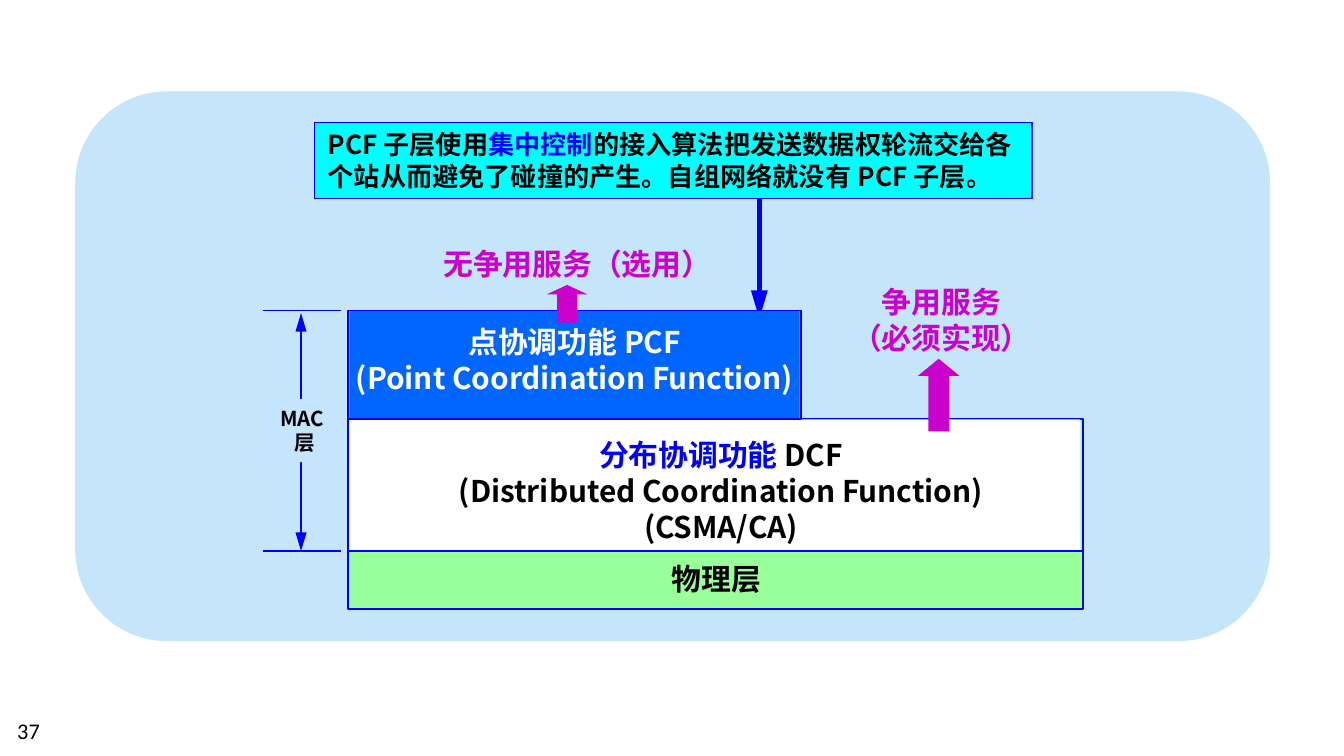
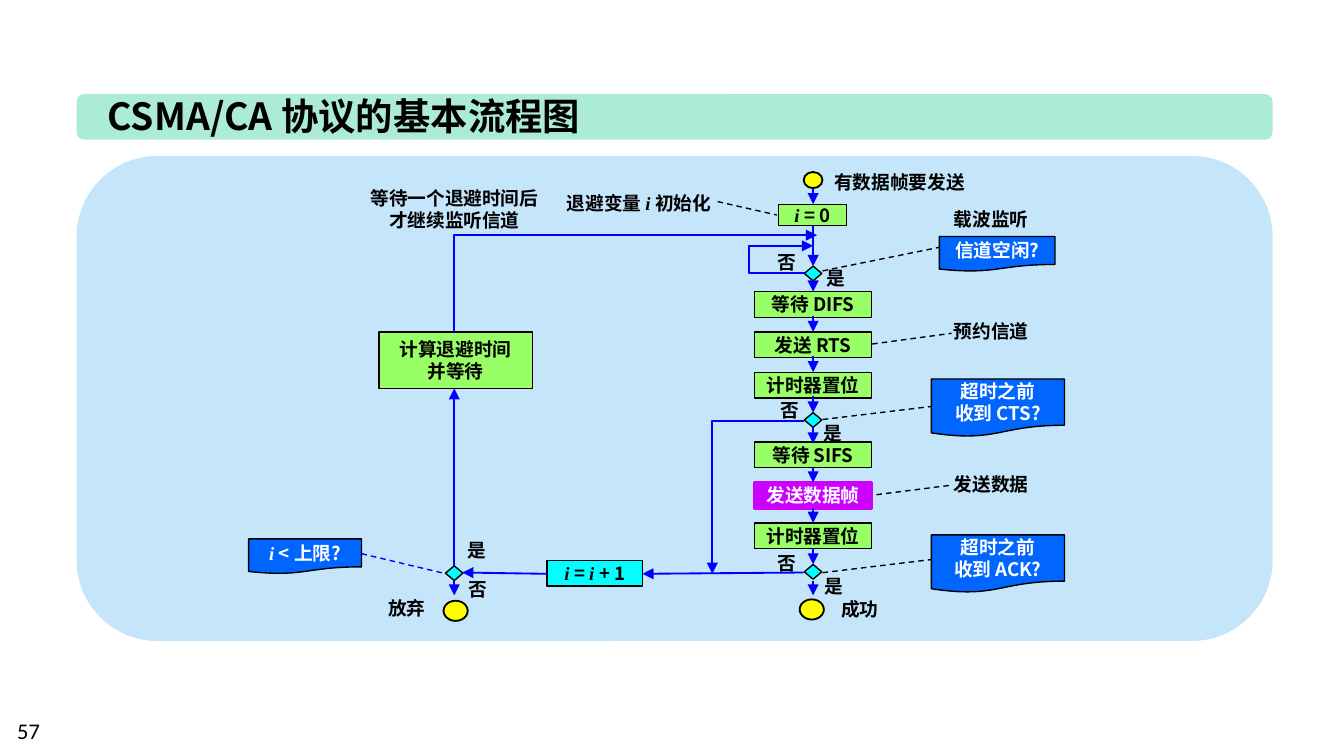
from lxml import etree
from pptx import Presentation
from pptx.dml.color import RGBColor
from pptx.enum.dml import MSO_LINE
from pptx.enum.shapes import MSO_CONNECTOR, MSO_SHAPE
from pptx.enum.text import MSO_ANCHOR, MSO_AUTO_SIZE, PP_ALIGN
from pptx.oxml.ns import qn
from pptx.util import Inches, Pt

RECT, ROUND, OVAL = MSO_SHAPE.RECTANGLE, MSO_SHAPE.ROUNDED_RECTANGLE, MSO_SHAPE.OVAL
UP_ARROW = MSO_SHAPE.UP_ARROW
PROCESS, DECISION = MSO_SHAPE.FLOWCHART_PROCESS, MSO_SHAPE.FLOWCHART_DECISION
DOCUMENT = MSO_SHAPE.FLOWCHART_DOCUMENT
STRAIGHT, ELBOW = MSO_CONNECTOR.STRAIGHT, MSO_CONNECTOR.ELBOW
LEFT, CENTER = PP_ALIGN.LEFT, PP_ALIGN.CENTER
TOP, MIDDLE = MSO_ANCHOR.TOP, MSO_ANCHOR.MIDDLE
GROW = MSO_AUTO_SIZE.SHAPE_TO_FIT_TEXT
DASH = MSO_LINE.DASH

BLACK, WHITE, BLUE, AZURE = "000000", "FFFFFF", "0000FF", "0066FF"
CYAN, LIME, GREEN, YELLOW = "00FFFF", "99FF66", "99FF99", "FFFF00"
MAGENTA, VIOLET, PANEL, BAND = "CC00CC", "CC00FF", "C5E5FB", "ABEBD7"
CJK = {"name": "Noto Sans CJK SC", "bold": True, "italic": False}
VARIABLE = ("i ", {"name": "Times New Roman", "italic": True})

LAYERS_PAGE, FLOW_PAGE = "37", "57"
LAYERS_PANEL, FLOW_PANEL = (0.56, 0.68, 8.89, 4.09), (0.57, 1.16, 8.9, 3.61)
FLOW_TITLE = "CSMA/CA 协议的基本流程图"

PCF_NOTE = [["PCF 子层使用", ("集中控制", {"color": BLUE}),
             "的接入算法把发送数据权轮流交给各个站从而避免了碰撞的产生。自组网络就没有 PCF 子层。"]]
LAYER_BLOCKS = [
    ((2.59, 3.12, 5.47, 1.41), GREEN, BLUE),
    ((2.6, 3.12, 5.44, 0.98), WHITE, None),
    ((2.6, 2.31, 3.35, 0.8), AZURE, None),
    ((2.59, 2.31, 3.37, 0.81), None, BLUE),
]
LAYER_TEXTS = [
    ((3.2, 1.78, 2.56, 0.37), [["无争用服务（选用）"]], MAGENTA, LEFT, True),
    ((6.23, 2.06, 1.55, 0.64), [["争用服务"], ["（必须实现）"]], MAGENTA, CENTER, False),
    ((3.24, 3.2, 4.25, 0.91),
     [[("分布协调功能 ", {"color": BLUE}), "DCF"],
      ["(Distributed Coordination Function)"], ["(CSMA/CA)"]], BLACK, CENTER, False),
    ((2.49, 2.36, 3.57, 0.64),
     [["点协调功能 PCF"], ["(Point Coordination Function)"]], WHITE, CENTER, False),
    ((4.9, 4.12, 0.88, 0.37), [["物理层"]], BLACK, LEFT, False),
]
LAYER_RULES = [((1.96, 2.31), (2.54, 2.31)), ((1.96, 4.1), (2.54, 4.1)),
               ((2.58, 4.1), (8.05, 4.1))]
SERVICE_ARROWS = [((6.83, 2.67, 0.31, 0.54), 0.41), ((4.07, 2.12, 0.3, 0.28), 0.25)]

SPINE, RETRY = 6.05, 3.38
STEP_WIDTH, STEP_HEIGHT, STEP_PITCH = 0.87, 0.19, 0.3
STEP_GROUPS = [(2.17, ["等待 DIFS", "发送 RTS", "计时器置位"]),
               (3.29, ["等待 SIFS", "发送数据帧", "计时器置位"])]
SENDING = "发送数据帧"
OTHER_STEPS = [
    ((5.79, 1.52, 0.51, 0.16), [[VARIABLE, "= 0"]], LIME),
    ((4.07, 4.17, 0.71, 0.19), [[VARIABLE, "= ", VARIABLE, "+ 1"]], CYAN),
    ((2.82, 2.47, 1.14, 0.42), [["计算退避时间"], ["并等待"]], LIME),
]
CHECKS = [(SPINE, 1.98), (SPINE, 3.07), (SPINE, 4.2), (RETRY, 4.21)]
TERMINALS = [(5.98, 1.28, 0.14, 0.12), (5.95, 4.46, 0.18, 0.15), (3.3, 4.47, 0.18, 0.15)]
QUESTIONS = [
    ((1.85, 4.01, 0.84, 0.26), [[VARIABLE, "< 上限?"]]),
    ((6.99, 1.76, 0.86, 0.26), [["信道空闲?"]]),
    ((6.93, 2.82, 0.99, 0.43), [["超时之前"], ["收到 CTS?"]]),
    ((6.93, 3.98, 0.99, 0.43), [["超时之前"], ["收到 ACK?"]]),
]
SPINE_ARROWS = [(1.4, 1.52), (1.68, 1.98), (2.09, 2.17), (2.35, 2.47), (2.65, 2.77),
                (2.95, 3.07), (3.18, 3.3), (3.48, 3.59), (3.78, 3.89), (4.08, 4.2),
                (4.32, 4.43)]
RETRY_ARROWS = [((5.98, 4.26), (4.78, 4.27)), ((4.07, 4.27), (3.44, 4.26)),
                ((RETRY, 4.32), (RETRY, 4.43)), ((RETRY, 4.21), (RETRY, 2.89))]
LEADERS = [
    ((6.05, 2.03), (7.04, 1.83), BLACK), ((6.05, 3.13), (7.05, 3.01), BLACK),
    ((6.05, 4.27), (7.04, 4.15), BLACK), ((6.49, 2.56), (7.08, 2.48), BLACK),
    ((6.45, 3.69), (7.08, 3.61), BLACK), ((5.34, 1.5), (5.78, 1.6), BLACK),
    ((2.69, 4.12), (3.32, 4.27), BLUE),
]
ANSWERS = {"是": [(6.05, 1.94), (6.04, 4.23), (6.03, 3.09), (3.38, 3.96)],
           "否": [(5.69, 1.82), (5.71, 2.92), (5.69, 4.06), (3.39, 4.25)]}
REMARKS = [
    ((4.12, 1.38, 1.46, 0.27), [["退避变量 ", VARIABLE, "初始化"]], LEFT),
    ((6.11, 1.22, 1.28, 0.27), [["有数据帧要发送"]], LEFT),
    ((6.16, 4.4, 0.57, 0.27), [["成功"]], LEFT),
    ((2.79, 4.39, 0.61, 0.27), [["放弃"]], LEFT),
    ((2.54, 1.34, 1.68, 0.44), [["等待一个退避时间后"], ["才继续监听信道"]], CENTER),
    ((7, 1.5, 0.84, 0.27), [["载波监听"]], LEFT),
    ((7, 2.33, 0.84, 0.27), [["预约信道"]], LEFT),
    ((7, 3.47, 0.84, 0.27), [["发送数据"]], LEFT),
]


def rgb(code):
    return RGBColor.from_string(code)


def apply(target, values):
    for key, value in values.items():
        setattr(target, key, value)


def write(holder, paragraphs, size, color=BLACK, align=LEFT, wrap=True, anchor=TOP,
          grow=True, base=CJK):
    frame = holder.text_frame
    apply(frame, {"word_wrap": wrap, "vertical_anchor": anchor})
    if grow:
        frame.auto_size = GROW
    for index, pieces in enumerate(paragraphs):
        paragraph = frame.add_paragraph() if index else frame.paragraphs[0]
        paragraph.alignment = align
        for piece in pieces:
            words, changes = (piece, {}) if isinstance(piece, str) else piece
            values = {**base, "size": Pt(size), "color": color, **changes}
            run = paragraph.add_run()
            run.text = words
            run.font.color.rgb = rgb(values.pop("color"))
            apply(run.font, values)
            east_asian = etree.SubElement(run.font._element, qn("a:ea"))
            east_asian.set("typeface", values["name"])


def label(slide, at, paragraphs, size, **style):
    write(slide.shapes.add_textbox(*map(Inches, at)), paragraphs, size, **style)


def block(slide, kind, at, fill=None, line=None, weight=0.75, adjust=()):
    shape = slide.shapes.add_shape(kind, *map(Inches, at))
    shape.shadow.inherit = False
    for index, value in enumerate(adjust):
        shape.adjustments[index] = value
    if fill:
        shape.fill.solid()
        shape.fill.fore_color.rgb = rgb(fill)
    else:
        shape.fill.background()
    if line:
        shape.line.color.rgb = rgb(line)
        shape.line.width = Pt(weight)
    else:
        shape.line.fill.background()
    return shape


def connect(slide, start, end, color=BLUE, weight=1, ends=(), dash=None, kind=STRAIGHT,
            length="med"):
    connector = slide.shapes.add_connector(kind, *map(Inches, (*start, *end)))
    connector.line.color.rgb = rgb(color)
    connector.line.width = Pt(weight)
    if dash:
        connector.line.dash_style = dash
    properties = connector._element.spPr
    for name in ends:
        tip = etree.SubElement(properties.find(qn("a:ln")), qn(f"a:{name}End"))
        for key, value in {"type": "triangle", "w": "med", "len": length}.items():
            tip.set(key, value)
    etree.SubElement(properties, qn("a:effectLst"))
    return properties


def arrow(slide, start, end, **style):
    return connect(slide, start, end, ends=("tail",), **style)


def elbow(slide, start, end, preset="bentConnector2", adjust=(), upward=False):
    if upward:
        (x1, y1), (x2, y2) = start, end
        x, y, half_rise, half_run = (x1 + x2) / 2, (y1 + y2) / 2, (y1 - y2) / 2, (x2 - x1) / 2
        start, end = (x - half_rise, y - half_run), (x + half_rise, y + half_run)
    properties = arrow(slide, start, end, kind=ELBOW)
    if upward:
        properties.find(qn("a:xfrm")).set("rot", str(270 * 60000))
    geometry = properties.find(qn("a:prstGeom"))
    geometry.set("prst", preset)
    guides = geometry.find(qn("a:avLst"))
    if guides is None:
        guides = etree.SubElement(geometry, qn("a:avLst"))
    for index, value in enumerate(adjust, 1):
        guide = etree.SubElement(guides, qn("a:gd"))
        guide.set("name", f"adj{index}")
        guide.set("fmla", f"val {round(value * 100000)}")


def base_slide(deck, layout, panel, page):
    slide = deck.slides.add_slide(deck.slide_layouts[layout])
    block(slide, ROUND, panel, PANEL)
    label(slide, (0.03, 5.29, 2.33, 0.3), [[page]], 12, grow=False,
          base={"name": "Calibri", "bold": False})
    return slide


def layers_slide(deck):
    slide = base_slide(deck, 6, LAYERS_PANEL, LAYERS_PAGE)
    arrow(slide, (5.65, 1.24), (5.65, 2.37), weight=3, length="lg")
    write(block(slide, RECT, (2.34, 0.91, 5.34, 0.57), CYAN, BLUE), PCF_NOTE, 14)
    connect(slide, (2.24, 2.33), (2.24, 4.1), ends=("head", "tail"), length="lg")
    write(block(slide, RECT, (1.96, 2.97, 0.58, 0.47), "C5E5FF"), [["MAC"], [" 层"]], 11,
          align=CENTER, wrap=False)
    for at, fill, line in LAYER_BLOCKS:
        block(slide, RECT, at, fill, line, 1)
    for at, paragraphs, color, align, wrap in LAYER_TEXTS:
        label(slide, at, paragraphs, 16, color=color, align=align, wrap=wrap)
    for start, end in LAYER_RULES:
        connect(slide, start, end)
    for at, head in SERVICE_ARROWS:
        block(slide, UP_ARROW, at, MAGENTA, adjust=(0.5, head))


def flow_slide(deck):
    slide = base_slide(deck, 5, FLOW_PANEL, FLOW_PAGE)
    block(slide, ROUND, (0.57, 0.7, 8.9, 0.34), BAND, adjust=(0.17,))
    title = slide.shapes.title
    apply(title, dict(zip(("left", "top", "width", "height"),
                          map(Inches, (0.7, 0.64, 3.92, 0.44)))))
    slide.shapes._spTree.append(title._element)
    write(title, [[FLOW_TITLE]], 20, wrap=False)

    centred = {"align": CENTER, "wrap": False, "anchor": MIDDLE, "grow": False}
    for start, end, color in LEADERS:
        connect(slide, start, end, color, 0.75, dash=DASH)
    for first_top, names in STEP_GROUPS:
        for index, name in enumerate(names):
            at = (SPINE - STEP_WIDTH / 2, first_top + index * STEP_PITCH, STEP_WIDTH, STEP_HEIGHT)
            fill, line, weight, color = ((VIOLET, VIOLET, 2, WHITE) if name == SENDING
                                         else (LIME, BLACK, 0.75, BLACK))
            write(block(slide, PROCESS, at, fill, line, weight), [[name]], 10, color=color,
                  **centred)
    for at, paragraphs, fill in OTHER_STEPS:
        write(block(slide, PROCESS, at, fill, BLACK), paragraphs, 10, **centred)
    for x, top in CHECKS:
        block(slide, DECISION, (x - 0.065, top, 0.13, 0.11), CYAN, BLACK)
    for at in TERMINALS:
        block(slide, OVAL, at, YELLOW, BLACK, 1)
    for top, bottom in SPINE_ARROWS:
        arrow(slide, (SPINE, top), (SPINE, bottom))
    for start, end in RETRY_ARROWS:
        arrow(slide, start, end)
    elbow(slide, (5.99, 2.03), (SPINE, 1.83), "bentConnector4", (-7, 1))
    elbow(slide, (5.98, 3.13), (5.3, 4.27))
    elbow(slide, (RETRY, 2.47), (6.08, 1.75), upward=True)
    for answer, places in ANSWERS.items():
        for place in places:
            label(slide, (*place, 0.24, 0.27), [[answer]], 10)
    for at, paragraphs, align in REMARKS:
        label(slide, at, paragraphs, 10, align=align)
    for at, paragraphs in QUESTIONS:
        write(block(slide, DOCUMENT, at, AZURE, BLACK), paragraphs, 10, color=WHITE, **centred)


def main():
    deck = Presentation()
    apply(deck, {"slide_width": Inches(10), "slide_height": Inches(10) * 9 // 16})
    layers_slide(deck)
    flow_slide(deck)
    deck.save("out.pptx")


if __name__ == "__main__":
    main()
